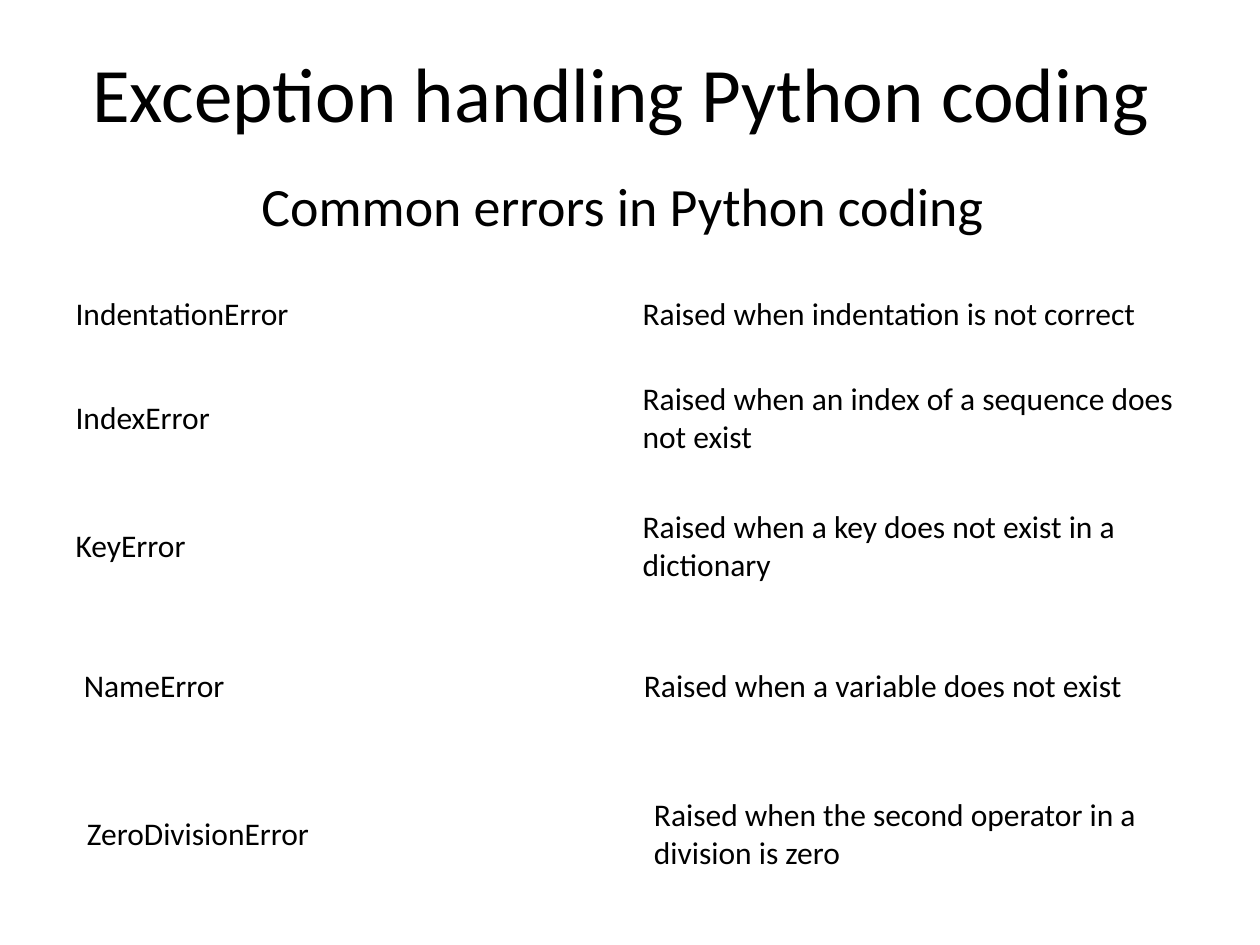
import pptx
import pptx.util
import pptx.dml.color
import pptx.enum.text

Pt = pptx.util.Pt
MIDDLE = pptx.enum.text.MSO_ANCHOR.MIDDLE
CENTER = pptx.enum.text.PP_ALIGN.CENTER
BLACK = pptx.dml.color.RGBColor(0, 0, 0)
FONT = "Calibri"
CELL_MARGIN = 7.2
INDENT = 4

# Each group: left, top, indent of the names, rows of (height, name, meaning)
ERROR_GROUPS = [
    (36, 145.4, 0, [
        (68.4, "IndentationError", "Raised when indentation is not correct"),
        (51.2, "IndexError", "Raised when an index of a sequence does not exist"),
        (95, "KeyError", "Raised when a key does not exist in a dictionary"),
    ]),
    (36.7, 378, INDENT, [
        (29, "NameError", "Raised when a variable does not exist"),
    ]),
    (42.5, 451.4, 0, [
        (51.2, "ZeroDivisionError",
         "Raised when the second operator in a division is zero"),
    ]),
]


def write(tf, text, size, align=None):
    tf.text = text
    p = tf.paragraphs[0]
    p.alignment = align
    p.font.name = FONT
    p.font.size = Pt(size)
    p.font.color.rgb = BLACK


def add_heading(sp, text, size, left, top, width, height):
    """Place a title or text box and centre its text."""
    sp.left, sp.top, sp.width, sp.height = map(Pt, (left, top, width, height))
    tf = sp.text_frame
    tf.word_wrap = True
    tf.vertical_anchor = MIDDLE
    write(tf, text, size, CENTER)


def add_error_table(s, rows, indent, left, top, width):
    """Add a plain two-column table of error names and meanings."""
    height = sum(row[0] for row in rows)
    table = s.shapes.add_table(
        len(rows), 2, Pt(left), Pt(top), Pt(width), Pt(height)).table
    table.first_row = table.horz_banding = False
    for row, (row_height, *texts) in zip(table.rows, rows):
        row.height = Pt(row_height)
        for cell, text in zip(row.cells, texts):
            cell.fill.background()
            cell.vertical_anchor = MIDDLE
            write(cell.text_frame, text, 18)
        row.cells[0].margin_left = Pt(CELL_MARGIN + indent)


def main():
    prs = pptx.Presentation()
    prs.slide_width, prs.slide_height = Pt(720), Pt(540)
    s = prs.slides.add_slide(prs.slide_layouts[5])
    add_heading(s.shapes.title, "Exception handling Python coding ", 44,
                36, 21.6, 648, 61.2)
    for left, top, indent, rows in ERROR_GROUPS:
        add_error_table(s, rows, indent, left, top, 648)
    subtitle = s.shapes.add_textbox(0, 0, 0, 0)
    add_heading(subtitle, "Common errors in Python coding ", 30.8,
                35.3, 97.2, 648, 39.6)
    prs.save("out.pptx")


if __name__ == "__main__":
    main()
